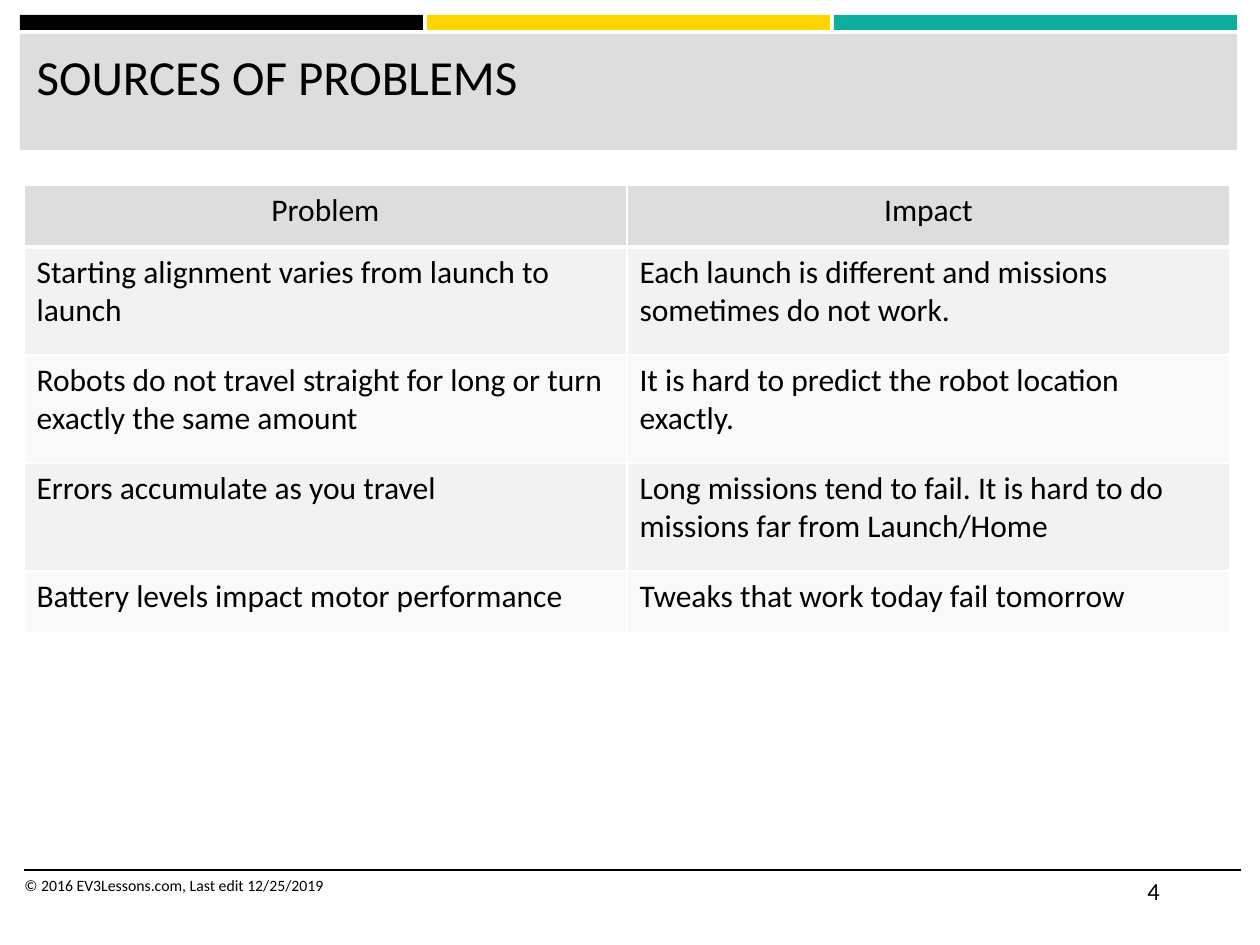
import pptx
import pptx.dml.color
import pptx.enum.shapes
import pptx.enum.text
import pptx.oxml.ns
import pptx.util
import lxml.etree

PIXEL = pptx.util.Inches(1) / 126
FONT = "Calibri"
COLORS = {
    "black": "000000",
    "yellow": "FFD500",
    "teal": "0EAE9F",
    "gray": "DDDDDD",
    "dark_row": "F2F2F2",
    "light_row": "F9F9F9",
    "white": "FFFFFF",
}
ALIGN = pptx.enum.text.PP_ALIGN
PROBLEMS = [
    ("Problem", "Impact"),
    ("Starting alignment varies from launch to launch",
     "Each launch is different and missions sometimes do not work."),
    ("Robots do not travel straight for long or turn exactly the same amount",
     "It is hard to predict the robot location exactly."),
    ("Errors accumulate as you travel",
     "Long missions tend to fail. It is hard to do missions far from Launch/Home"),
    ("Battery levels impact motor performance",
     "Tweaks that work today fail tomorrow"),
]
ROW_HEIGHTS = [62, 108, 108, 108, 62]


def px(length):
    return pptx.util.Emu(round(length * PIXEL))


def color(name):
    return pptx.dml.color.RGBColor.from_string(COLORS[name])


def write_text(text_frame, text, size=18, align=ALIGN.LEFT):
    text_frame.word_wrap = True
    text_frame.vertical_anchor = pptx.enum.text.MSO_ANCHOR.TOP
    paragraph = text_frame.paragraphs[0]
    paragraph.alignment = align
    run = paragraph.add_run()
    run.text = text
    run.font.size = pptx.util.Pt(size)
    run.font.name = FONT
    run.font.color.rgb = color("black")


def add_label(slide, text, left, top, width, height, **text_format):
    box = slide.shapes.add_textbox(px(left), px(top), px(width), px(height))
    write_text(box.text_frame, text, **text_format)


def add_bar(slide, fill, left, top, width, height):
    shape = slide.shapes.add_shape(
        pptx.enum.shapes.MSO_SHAPE.RECTANGLE, px(left), px(top), px(width), px(height))
    shape.shadow.inherit = False
    shape.fill.solid()
    shape.fill.fore_color.rgb = color(fill)
    shape.line.fill.background()


def add_header(slide, text, left, top, width, height):
    gap, stripe_height = 4, 15
    stripes = ["black", "yellow", "teal"]
    stripe_width = (width - gap * (len(stripes) - 1)) / len(stripes)
    for index, fill in enumerate(stripes):
        add_bar(slide, fill, left + index * (stripe_width + gap), top,
                stripe_width, stripe_height)
    band_top = top + stripe_height + gap
    band_height = height - stripe_height - gap
    add_bar(slide, "gray", left, band_top, width, band_height)

    title = slide.shapes.title
    slide.shapes._spTree.append(title._element)
    title.left, title.top = px(left + 4), px(band_top + 6)
    title.width, title.height = px(width - 11), px(band_height - 12)
    write_text(title.text_frame, text, size=28)


def set_borders(cell, **widths):
    properties = cell._tc.get_or_add_tcPr()
    qualify = pptx.oxml.ns.qn
    for side, width in widths.items():
        line = lxml.etree.SubElement(
            properties, qualify("a:ln" + side), w=str(pptx.util.Pt(width)))
        fill = lxml.etree.SubElement(line, qualify("a:solidFill"))
        lxml.etree.SubElement(fill, qualify("a:srgbClr"), val=COLORS["white"])


def add_problem_table(slide, left, top, width):
    table = slide.shapes.add_table(
        len(PROBLEMS), 2, px(left), px(top), px(width), px(sum(ROW_HEIGHTS))).table
    for column in table.columns:
        column.width = px(width / 2)
    for row_index, texts in enumerate(PROBLEMS):
        table.rows[row_index].height = px(ROW_HEIGHTS[row_index])
        is_header = row_index == 0
        fill = "gray" if is_header else ("light_row", "dark_row")[row_index % 2]
        for column_index, text in enumerate(texts):
            cell = table.cell(row_index, column_index)
            write_text(cell.text_frame, text,
                       align=ALIGN.CENTER if is_header else ALIGN.LEFT)
            set_borders(cell, L=1, R=1, T=1, B=3 if is_header else 1)
            cell.fill.solid()
            cell.fill.fore_color.rgb = color(fill)


def add_footer(slide, text, number, left, top, width, height):
    rule = slide.shapes.add_connector(
        pptx.enum.shapes.MSO_CONNECTOR.STRAIGHT,
        px(left), px(top), px(left + width), px(top))
    rule.line.color.rgb = color("black")
    rule.line.width = pptx.util.Pt(1)
    lxml.etree.SubElement(rule._element.spPr, pptx.oxml.ns.qn("a:effectLst"))
    add_label(slide, text, left - 12, top, 672, height, size=9)
    add_label(slide, number, left + width - 106, top, 106, height, size=14)


def main():
    presentation = pptx.Presentation()
    presentation.slide_width = px(1260)
    presentation.slide_height = px(945)
    slide = presentation.slides.add_slide(presentation.slide_layouts[5])
    add_header(slide, "SOURCES OF PROBLEMS", 20, 15, 1217, 135)
    add_problem_table(slide, 24, 185, 1206)
    add_footer(slide, "© 2016 EV3Lessons.com, Last edit 12/25/2019", "4",
               24, 870, 1217, 50)
    presentation.save("out.pptx")


if __name__ == "__main__":
    main()
